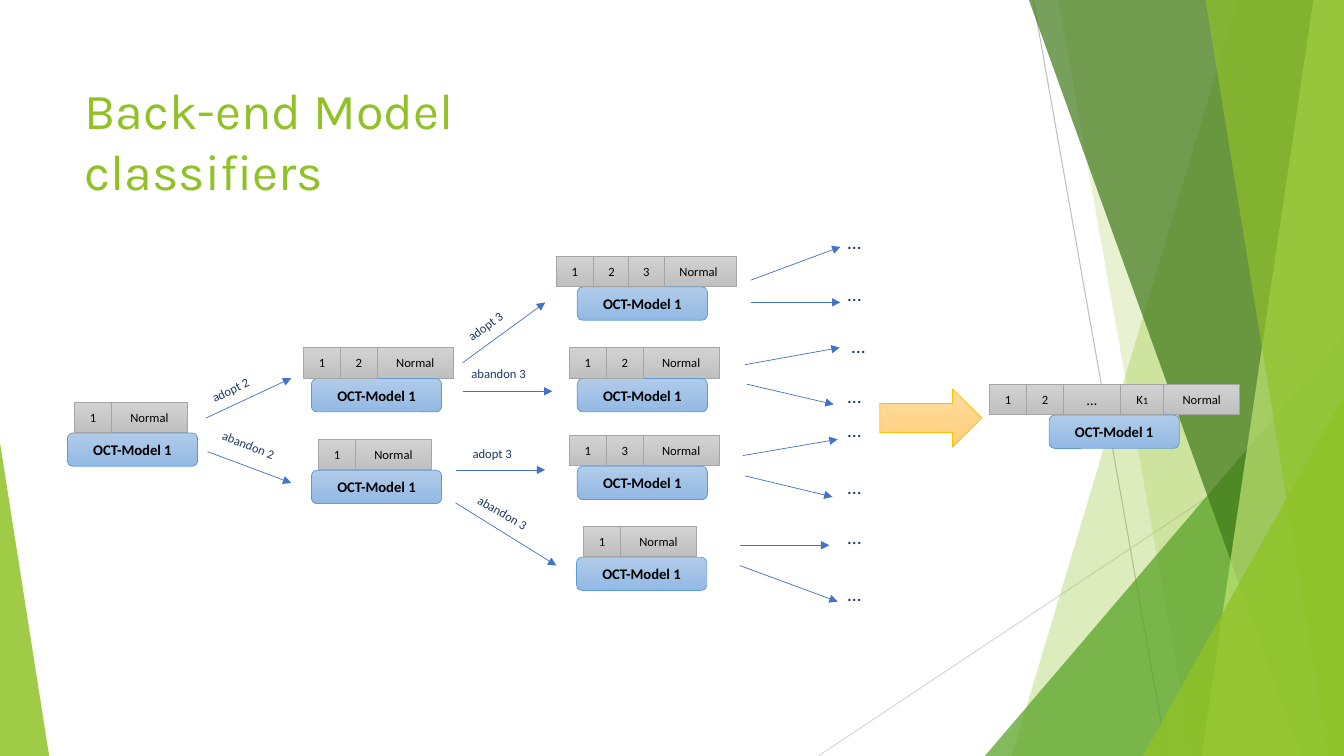
from dataclasses import dataclass

from lxml.etree import SubElement
from pptx import Presentation
from pptx.dml.color import RGBColor
from pptx.enum.shapes import MSO_CONNECTOR, MSO_SHAPE
from pptx.enum.text import MSO_ANCHOR, PP_ALIGN
from pptx.oxml.ns import qn
from pptx.util import Cm, Pt

GREEN, NAVY, BLUE = "90C226", "203864", "4472C4"
CELL_WIDTH, CELL_HEIGHT, NORMAL_WIDTH, STEP = 0.92, 0.77, 1.91, 0.93

CLASSIFIERS = [
    (1.88, 10.13, 1.7, ["1"], [STEP]),
    (7.65, 8.76, 7.85, ["1", "2"], [STEP] * 2),
    (8.03, 11.07, 7.85, ["1"], [STEP]),
    (14.02, 6.45, 14.55, ["1", "2", "3"], [0.93, 0.88, 0.82]),
    (14.35, 8.76, 14.55, ["1", "2"], [STEP] * 2),
    (14.35, 10.97, 14.55, ["1", "3"], [STEP] * 2),
    (14.71, 13.26, 14.53, ["1"], [STEP]),
    (24.94, 9.68, 26.44, ["1", "2", "…", "K1"], [0.93, 0.93, 1.44, 1.09]),
]
ARROWS = [
    (5.18, 10.54, 7.34, 9.53), (5.23, 11.38, 7.34, 12.17),
    (11.66, 9.86, 13.92, 9.86), (11.66, 9.14, 13.74, 7.62),
    (11.48, 11.84, 13.74, 11.84), (11.48, 12.67, 14.02, 14.25),
    (18.92, 7.62, 21.18, 7.62), (18.92, 7.06, 21.18, 6.22),
    (18.77, 9.19, 21.16, 8.76), (18.82, 9.68, 21.01, 10.19),
    (18.72, 11.48, 21.11, 11.07), (18.77, 11.99, 20.98, 12.52),
    (18.64, 13.74, 20.9, 13.74), (18.64, 14.25, 21.11, 15.16),
]
DECISIONS = [
    ("adopt 2", 4.98, 8.99, -25.5), ("abandon 2", 5.23, 11.25, 21.6),
    ("adopt 3", 11.3, 7.19, -36.3), ("abandon 3", 11.63, 9.09, 0),
    ("abandon 3", 11.56, 13.08, 30), ("adopt 3", 11.66, 11.1, 0),
]
ELLIPSES = [
    (21.11, 5.66), (21.11, 6.99), (21.21, 8.28), (21.11, 9.55),
    (21.11, 10.41), (21.11, 11.84), (21.11, 13.11), (21.11, 14.53),
]


@dataclass
class Box:
    """A rectangle in centimetres."""
    left: float
    top: float
    width: float
    height: float

    def inner(self, left, top, width, height):
        """Return a box placed relative to this one."""
        return Box(self.left + left, self.top + top, width, height)

    def lengths(self):
        """Return the four sides as slide lengths."""
        return Cm(self.left), Cm(self.top), Cm(self.width), Cm(self.height)


def colour(value):
    """Turn a hex string into a colour."""
    return RGBColor.from_string(value)


def write(frame, text, size=9, color="000000", font="Calibri", bold=False,
          align=PP_ALIGN.LEFT, anchor=MSO_ANCHOR.TOP, small_tail=None):
    """Write text in a frame, with an optional smaller last character."""
    frame.word_wrap = True
    frame.vertical_anchor = anchor
    para = frame.paragraphs[0]
    para.alignment = align
    pieces = [(text[:-1], size), (text[-1], small_tail)] if small_tail else [(text, size)]
    for piece, points in pieces:
        for number, row in enumerate(piece.split("\n")):
            if number:
                para.add_line_break()
            span = para.add_run()
            span.text = row
            span.font.size, span.font.bold, span.font.name = Pt(points), bold, font
            span.font.color.rgb = colour(color)


def add_text(page, box, text, rotation=0, **style):
    """Add a text box."""
    label = page.shapes.add_textbox(*box.lengths())
    label.rotation = rotation
    write(label.text_frame, text, **style)


def add_block(page, box, kind, shades, edge, text="", **style):
    """Add a shape with a vertical gradient and centred text."""
    block = page.shapes.add_shape(kind, *box.lengths())
    block.shadow.inherit = False
    block.fill.gradient()
    block.fill.gradient_angle = 270
    for stop, shade in zip(block.fill.gradient_stops, shades):
        stop.color.rgb = colour(shade)
    block.line.color.rgb, block.line.width = colour(edge), Pt(0.5)
    if text:
        frame = block.text_frame
        frame.margin_left = frame.margin_right = frame.margin_top = frame.margin_bottom = 0
        write(frame, text, align=PP_ALIGN.CENTER, anchor=MSO_ANCHOR.MIDDLE, **style)


def add_line(page, box, ends, color, width, arrow=False):
    """Add a straight line whose ends are relative to the box."""
    x1, y1, x2, y2 = ends
    line = page.shapes.add_connector(
        MSO_CONNECTOR.STRAIGHT, Cm(box.left + x1), Cm(box.top + y1),
        Cm(box.left + x2), Cm(box.top + y2))
    line.line.color.rgb, line.line.width = colour(color), Pt(width)
    if arrow:
        SubElement(line.line._get_or_add_ln(), qn("a:tailEnd"), type="triangle")
    SubElement(line._element.spPr, qn("a:effectLst"))


def tint(shape, color, opacity):
    """Give a shape a translucent fill without outline or shadow."""
    shape.shadow.inherit = False
    shape.line.fill.background()
    shape.fill.solid()
    shape.fill.fore_color.rgb = colour(color)
    tone = shape._element.spPr.find(qn("a:solidFill"))[0]
    SubElement(tone, qn("a:alpha"), val=str(opacity * 1000))


def draw_band(page, box, top_x, bottom_x, color, opacity):
    """Draw a band from a slanted edge to the right side of the box."""
    right, bottom = box.left + box.width, box.top + box.height
    outline = page.shapes.build_freeform(Cm(box.left + top_x), Cm(box.top), scale=1)
    corners = [(right, box.top), (right, bottom), (box.left + bottom_x, bottom)]
    outline.add_line_segments([(Cm(x), Cm(y)) for x, y in corners], close=True)
    tint(outline.convert_to_shape(), color, opacity)


def draw_triangle(page, box, left, top, width, apex, color, opacity):
    """Draw a triangle that stands on the bottom of the box."""
    place = box.inner(left, top, width, box.height - top)
    triangle = page.shapes.add_shape(MSO_SHAPE.ISOSCELES_TRIANGLE, *place.lengths())
    triangle.adjustments[0] = apex
    tint(triangle, color, opacity)


def draw_backdrop(page, box):
    """Draw the green facets and thin lines."""
    add_line(page, box, (26.04, 0, 29.41, box.height), "BFBFBF", 0.75)
    add_line(page, box, (box.width, 10.24, 20.62, box.height), "D9D9D9", 0.75)
    draw_band(page, box, 31.19, 25.5, GREEN, 30)
    draw_band(page, box, 26.67, 30.05, GREEN, 20)
    draw_triangle(page, box, 24.82, 8.46, box.width - 24.82, 1, "54A021", 72)
    draw_band(page, box, 25.93, 32.79, "3F7819", 70)
    draw_band(page, box, 33.1, 30.28, "C0E474", 70)
    draw_band(page, box, 30.38, 33.48, GREEN, 65)
    draw_triangle(page, box, 28.8, 9.98, box.width - 28.8, 1, GREEN, 80)
    draw_triangle(page, box, 0, 11.15, 1.24, 0, GREEN, 85)


def draw_classifier(page, box, model_left, labels, steps):
    """Draw a row of class cells above its model."""
    def add_cell(left, width, text, **style):
        """Add one grey class cell."""
        add_block(page, box.inner(left, 0, width, CELL_HEIGHT), MSO_SHAPE.RECTANGLE,
                  ("D2D2D2", "C0C0C0"), "A5A5A5", text, **style)

    add_cell(sum(steps), NORMAL_WIDTH, "Normal")
    add_block(page, Box(model_left, box.top + 0.78, 3.28, 0.84), MSO_SHAPE.ROUNDED_RECTANGLE,
              ("B1CBE9", "93B9E4"), "5B9BD5", "OCT-Model 1", size=10.5, bold=True)
    for number, (text, step) in enumerate(zip(labels, steps)):
        add_cell(sum(steps[:number]), max(step, CELL_WIDTH), text,
                 size=10.5 if text == "…" else 9, small_tail=7 if text == "K1" else None)


def draw_tree(page, box):
    """Draw the classifiers, their branches and the resulting model."""
    for left, top, model_left, labels, steps in CLASSIFIERS:
        row = box.inner(left, top, sum(steps) + NORMAL_WIDTH, CELL_HEIGHT)
        draw_classifier(page, row, box.left + model_left, labels, steps)
    for ends in ARROWS:
        add_line(page, box, ends, BLUE, 0.5, arrow=True)
    for text, left, top, rotation in DECISIONS:
        add_text(page, box.inner(left, top, 3.84, 0.79), text, rotation, color=NAVY)
    for left, top in ELLIPSES:
        add_text(page, box.inner(left, top, 3.84, 1.04), "…", size=14, color=NAVY)
    add_block(page, box.inner(22.17, 9.8, 2.57, 1.47), MSO_SHAPE.RIGHT_ARROW,
              ("FFDB9E", "FFD07C"), "FFC000")


def main():
    """Build and save the slide."""
    deck = Presentation()
    deck.slide_width, deck.slide_height = Cm(33.87), Cm(19.05)
    page = deck.slides.add_slide(deck.slide_layouts[6])
    box = Box(0, 0, 33.87, 19.05)
    draw_backdrop(page, box)
    add_text(page, box.inner(1.88, 1.7, 23.88, 3.66), "Back-end Model\nclassifiers",
             size=36, font="Karla", color=GREEN, anchor=MSO_ANCHOR.MIDDLE)
    draw_tree(page, box)
    deck.save("out.pptx")


if __name__ == "__main__":
    main()
